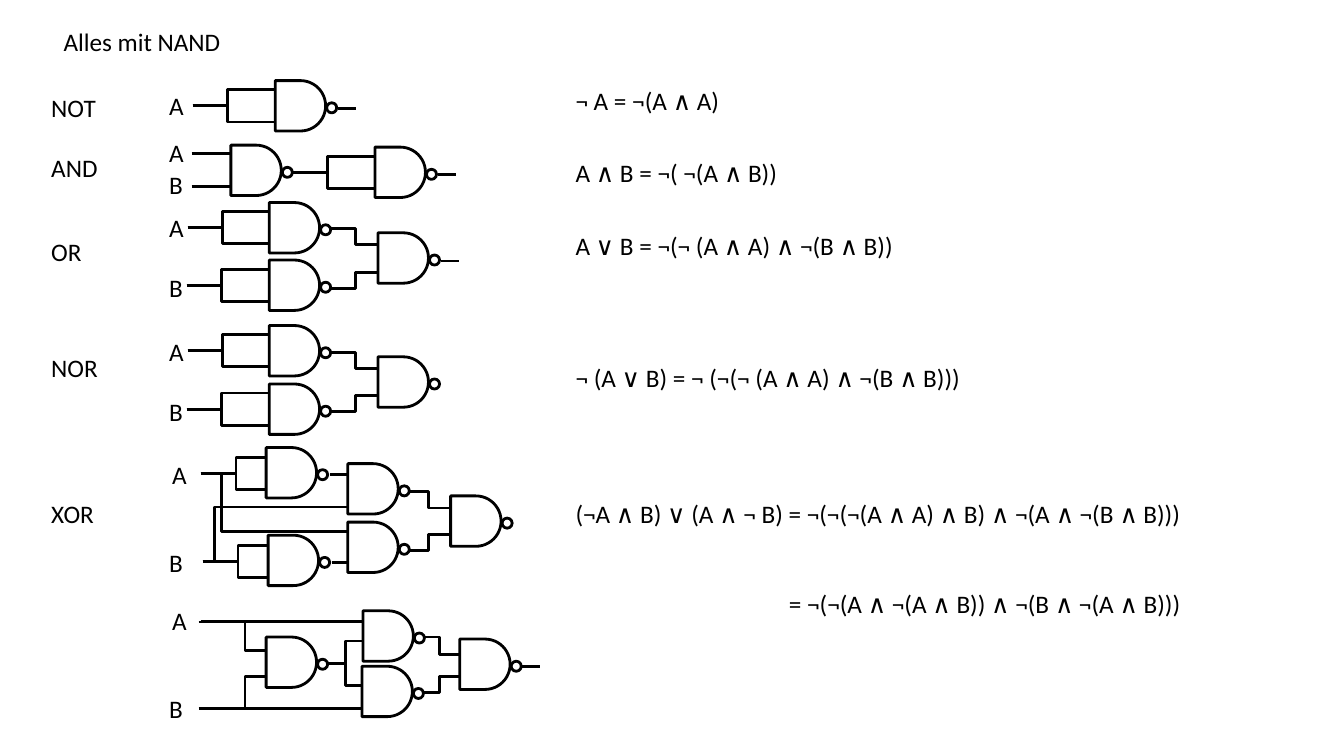
from dataclasses import dataclass

from pptx import Presentation
from pptx.dml.color import RGBColor
from pptx.enum.shapes import MSO_CONNECTOR, MSO_SHAPE
from pptx.enum.text import MSO_ANCHOR, MSO_AUTO_SIZE, PP_ALIGN
from pptx.oxml import parse_xml
from pptx.util import Inches, Pt


@dataclass(frozen=True)
class Theme:
    ink: RGBColor = RGBColor(0, 0, 0)
    paper: RGBColor = RGBColor(255, 255, 255)
    font: str = "Calibri"
    size: Pt = Pt(18)
    line: Pt = Pt(2)


theme = Theme()
deck = Presentation()
deck.slide_width, deck.slide_height = Inches(13.33), Inches(7.5)
slide = deck.slides.add_slide(deck.slide_layouts[5])
shapes = slide.shapes


def write(box, text, wrap=False):
    frame = box.text_frame
    frame.text = text
    frame.word_wrap = wrap
    frame.auto_size = MSO_AUTO_SIZE.NONE
    frame.vertical_anchor = MSO_ANCHOR.TOP
    for para in frame.paragraphs:
        para.alignment = PP_ALIGN.LEFT
        for run in para.runs:
            run.font.name, run.font.size = theme.font, theme.size
            run.font.color.rgb = theme.ink
    return frame


def wire(x, y, turn, rise, length=0.82):
    """Run right from (x, y), step by rise after turn, and go on to length."""
    points = [(x + turn, y), (x + turn, y + rise), (x + length, y + rise)]
    path = shapes.build_freeform(Inches(x), Inches(y))
    path.add_line_segments([(Inches(a), Inches(b)) for a, b in points], close=False)
    bend = path.convert_to_shape()
    bend.fill.background()
    bend.line.color.rgb, bend.line.width = theme.ink, theme.line
    bend.shadow.inherit = False


title = shapes.title
title.left, title.top = Inches(0.53), Inches(0.21)
title.width, title.height = Inches(1.77), Inches(0.4)
write(title, "Alles mit NAND")

# Row names and input letters: left, top, width
labels = [
    ("NOT", 0.41, 0.87, 0.65), ("AND", 0.41, 1.46, 0.67), ("OR", 0.41, 2.3, 0.51),
    ("NOR", 0.41, 3.45, 0.67), ("XOR", 0.41, 4.89, 0.63),
    ("A", 1.58, 0.85, 0.35),
    ("A", 1.58, 1.31, 0.35), ("B", 1.58, 1.63, 0.35),
    ("A", 1.58, 2.06, 0.35), ("B", 1.58, 2.65, 0.35),
    ("A", 1.58, 3.29, 0.35), ("B", 1.58, 3.88, 0.35),
    ("A", 1.61, 4.51, 0.35), ("B", 1.58, 5.38, 0.35),
    ("A", 1.61, 5.96, 0.35), ("B", 1.58, 6.83, 0.35),
]
for text, x, y, width in labels:
    write(shapes.add_textbox(Inches(x), Inches(y), Inches(width), Inches(0.4)), text)

# Formulas: top, width
formulas = [
    ("¬ A = ¬(A ∧ A)", 0.8, 1.76),
    ("A ∧ B = ¬( ¬(A ∧ B))", 1.51, 2.38),
    ("A ∨ B = ¬(¬ (A ∧ A) ∧ ¬(B ∧ B))", 2.24, 3.5),
    ("¬ (A ∨ B) = ¬ (¬(¬ (A ∧ A) ∧ ¬(B ∧ B)))", 3.55, 4.22),
]
for text, y, width in formulas:
    box = shapes.add_textbox(Inches(5.61), Inches(y), Inches(width), Inches(0.4))
    write(box, text, wrap=True)

box = shapes.add_textbox(Inches(5.61), Inches(4.89), Inches(6.4), Inches(1.31))
frame = write(box, "(¬A ∧ B) ∨ (A ∧ ¬ B) = ¬(¬(¬(A ∧ A) ∧ B) ∧ ¬(A ∧ ¬(B ∧ B)))\n"
                   "= ¬(¬(A ∧ ¬(A ∧ B)) ∧ ¬(B ∧ ¬(A ∧ B)))")
frame.margin_right = Inches(0.31)
frame.paragraphs[1].alignment = PP_ALIGN.RIGHT
frame.paragraphs[1].space_before = Pt(43)

# Forks split one signal onto both inputs of a gate: left, middle, rise
forks = [
    (1.91, 1.05, 0.16), (2.9, 1.71, 0.16),
    (1.86, 2.26, 0.16), (1.85, 2.83, 0.16),
    (1.86, 3.48, 0.16), (1.85, 4.06, 0.16),
    (1.99, 4.7, 0.16), (2.01, 5.57, 0.16),
    (3.08, 6.58, 0.22),
]
for x, y, rise in forks:
    for step in (-rise, rise):
        wire(x, y, 0.35, step)

# Joins bring two signals to one gate: left, upper, lower, drop, lift
joins = [
    (3.07, 2.27, 2.86, 0.16, 0.16),
    (3.07, 3.5, 4.08, 0.16, 0.16),
    (3.79, 4.88, 5.46, 0.16, 0.16),
    (3.9, 6.32, 6.87, 0.17, 0.16),
    (1.97, 6.17, 7.03, 0.28, 0.32),
]
for x, upper, lower, drop, lift in joins:
    wire(x, upper, 0.46, drop)
    wire(x, lower, 0.46, -lift)

# Crossing feeds of the first XOR
wire(2, 4.7, 0.2, 0.57, 1.51)
wire(2.03, 5.57, 0.1, -0.54, 1.46)

# Straight wires: left, middle, length
stubs = [
    (3.35, 1.08, 0.18), (4.34, 1.73, 0.18), (4.37, 2.59, 0.18),
    (3.27, 4.71, 0.18), (3.29, 5.58, 0.18), (5.18, 6.61, 0.18),
    (1.9, 1.52, 0.4), (1.9, 1.85, 0.4),
    (1.99, 6.17, 1.61), (1.98, 7.03, 1.64),
]
for x, y, length in stubs:
    stub = shapes.add_connector(MSO_CONNECTOR.STRAIGHT, Inches(x), Inches(y),
                                Inches(x + length), Inches(y))
    stub.line.color.rgb, stub.line.width = theme.ink, theme.line
    stub._element.spPr.append(parse_xml(
        '<a:effectLst xmlns:a="http://schemas.openxmlformats.org/drawingml/2006/main"/>'))

# NAND gates: left, top
gates = [
    (2.73, 0.8),
    (2.29, 1.44), (3.72, 1.46),
    (2.67, 2.01), (2.67, 2.58), (3.75, 2.31),
    (2.67, 3.23), (2.67, 3.81), (3.75, 3.54),
    (2.64, 4.44), (2.66, 5.31), (3.45, 4.6), (3.45, 5.18), (4.47, 4.92),
    (2.64, 6.32), (3.6, 6.06), (3.59, 6.61), (4.56, 6.34),
]
for x, y in gates:
    parts = [(MSO_SHAPE.OVAL, x + 0.51, y + 0.22, 0.1),
             (MSO_SHAPE.FLOWCHART_DELAY, x, y, 0.5)]
    for kind, left, top, size in parts:
        part = shapes.add_shape(kind, Inches(left), Inches(top), Inches(size), Inches(size))
        part.fill.solid()
        part.fill.fore_color.rgb = theme.paper
        part.line.color.rgb, part.line.width = theme.ink, theme.line
        part.shadow.inherit = False

deck.save("out.pptx")
